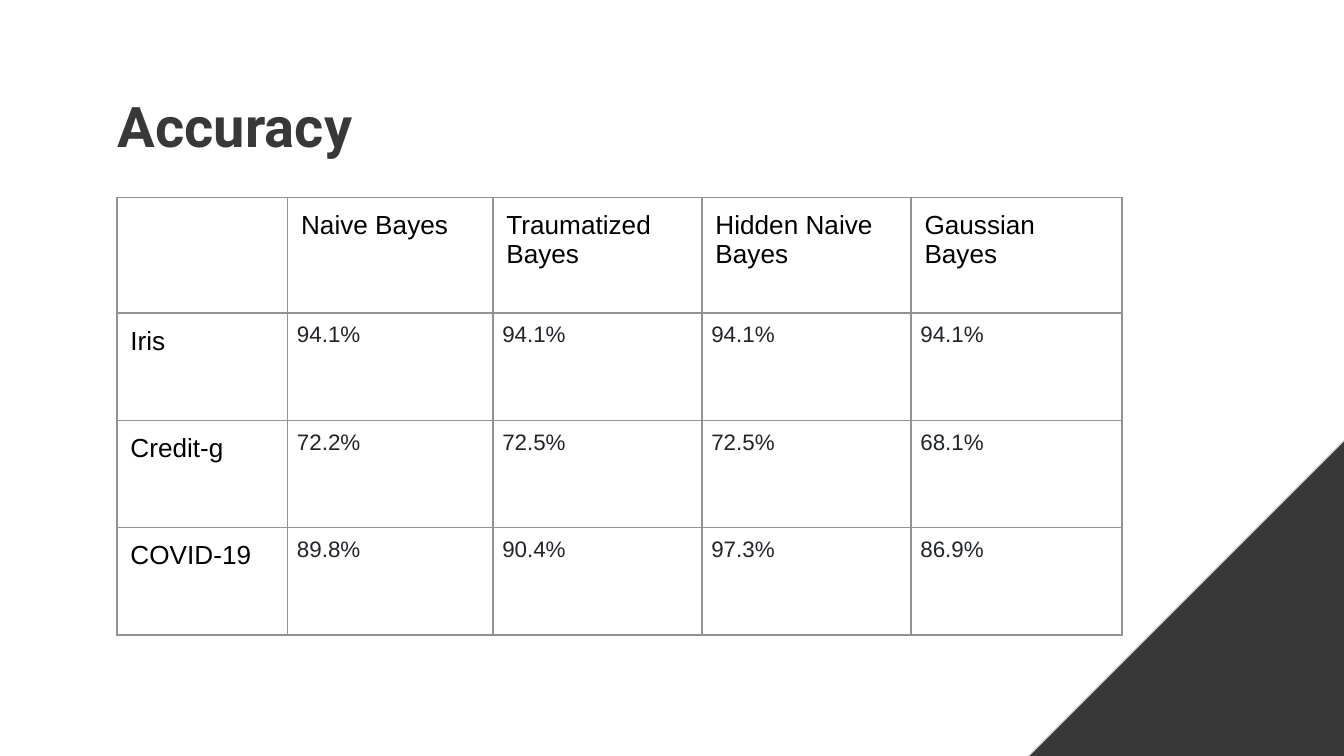
from lxml import etree
from pptx import Presentation
from pptx.dml.color import RGBColor
from pptx.enum import shapes, text
from pptx.oxml.ns import qn
from pptx.util import Pt

CHARCOAL = RGBColor(0x38, 0x38, 0x38)
PALE_GREY = RGBColor(0xDB, 0xDB, 0xDB)
BORDER_GREY = RGBColor(0x92, 0x92, 0x92)
BLACK = RGBColor(0x00, 0x00, 0x00)
INK = RGBColor(0x21, 0x25, 0x29)

SLIDE_WIDTH, SLIDE_HEIGHT = 720, 405
COLUMN_WIDTHS = [91.4, 110, 112, 112, 113]
ROW_HEIGHTS = [62, 57.5, 57.5, 57.5]
ACCURACY_ROWS = [
    ["", "Naive Bayes", "Traumatized Bayes", "Hidden Naive Bayes", "Gaussian Bayes"],
    ["Iris", "94.1%", "94.1%", "94.1%", "94.1%"],
    ["Credit-g", "72.2%", "72.5%", "72.5%", "68.1%"],
    ["COVID-19", "89.8%", "90.4%", "97.3%", "86.9%"],
]

TITLE_FONT = {"name": "Roboto", "size": Pt(30), "bold": True}
HEADING_FONT = {"name": "Arial", "size": Pt(14), "bold": False}
VALUE_FONT = {"name": "Arial", "size": Pt(12), "bold": False}


def set_attributes(target, values):
    for name, value in values.items():
        setattr(target, name, value)


def set_margins(target, margin):
    sides = ("left", "top", "right", "bottom")
    set_attributes(target, {f"margin_{side}": Pt(margin) for side in sides})


def write_text(frame, words, font_values, color):
    run = frame.paragraphs[0].add_run()
    run.text = words
    set_attributes(run.font, font_values)
    run.font.color.rgb = color


def set_borders(cell, widths):
    properties = cell._tc.get_or_add_tcPr()
    for position, (side, width) in enumerate(widths.items()):
        line = etree.Element(qn(f"a:ln{side}"), w=str(int(Pt(width))))
        fill = etree.SubElement(line, qn("a:solidFill"))
        etree.SubElement(fill, qn("a:srgbClr"), val=str(BORDER_GREY))
        properties.insert(position, line)


def add_corner(slide, left, top, width, height):
    triangle = slide.shapes.add_shape(
        shapes.MSO_SHAPE.RIGHT_TRIANGLE, Pt(left), Pt(top), Pt(width), Pt(height)
    )
    triangle._element.spPr.get_or_add_xfrm().set("flipH", "1")
    triangle.shadow.inherit = False
    triangle.fill.solid()
    triangle.fill.fore_color.rgb = CHARCOAL
    triangle.line.color.rgb = PALE_GREY
    triangle.line.width = Pt(0.75)


def add_title(slide, left, top, width, height):
    box = slide.shapes.add_textbox(Pt(left), Pt(top), Pt(width), Pt(height))
    frame = box.text_frame
    set_attributes(frame, {"word_wrap": True, "vertical_anchor": text.MSO_ANCHOR.TOP})
    set_margins(frame, 7.2)
    write_text(frame, "Accuracy", TITLE_FONT, CHARCOAL)


def add_accuracy_table(slide, left, top, width, height):
    table = slide.shapes.add_table(
        len(ROW_HEIGHTS), len(COLUMN_WIDTHS), Pt(left), Pt(top), Pt(width), Pt(height)
    ).table
    set_attributes(table, {"first_row": False, "horz_banding": False})
    for column, share in zip(table.columns, COLUMN_WIDTHS):
        column.width = Pt(width * share / sum(COLUMN_WIDTHS))
    for row, share in zip(table.rows, ROW_HEIGHTS):
        row.height = Pt(height * share / sum(ROW_HEIGHTS))

    for row_index, words_in_row in enumerate(ACCURACY_ROWS):
        for column_index, words in enumerate(words_in_row):
            cell = table.cell(row_index, column_index)
            is_heading = row_index == 0 or column_index == 0
            cell.fill.background()
            set_margins(cell, 7.2 if is_heading else 5)
            widths = dict.fromkeys("LRTB", 0.75 if is_heading else 1)
            if row_index == 0 and column_index > 0:
                widths["B"] = 1
            if column_index == 0 and row_index > 0:
                widths["R"] = 1
            set_borders(cell, widths)
            if words:
                font_values = HEADING_FONT if is_heading else VALUE_FONT
                write_text(cell.text_frame, words, font_values, BLACK if is_heading else INK)


def main():
    presentation = Presentation()
    set_attributes(
        presentation,
        {"slide_width": Pt(SLIDE_WIDTH), "slide_height": Pt(SLIDE_HEIGHT)},
    )
    slide = presentation.slides.add_slide(presentation.slide_layouts[6])
    add_corner(slide, 457, 121, 378, 378)
    add_title(slide, 56, 42, 512, 42)
    add_accuracy_table(slide, 62.7, 105.7, sum(COLUMN_WIDTHS), sum(ROW_HEIGHTS))
    presentation.save("out.pptx")


if __name__ == "__main__":
    main()
